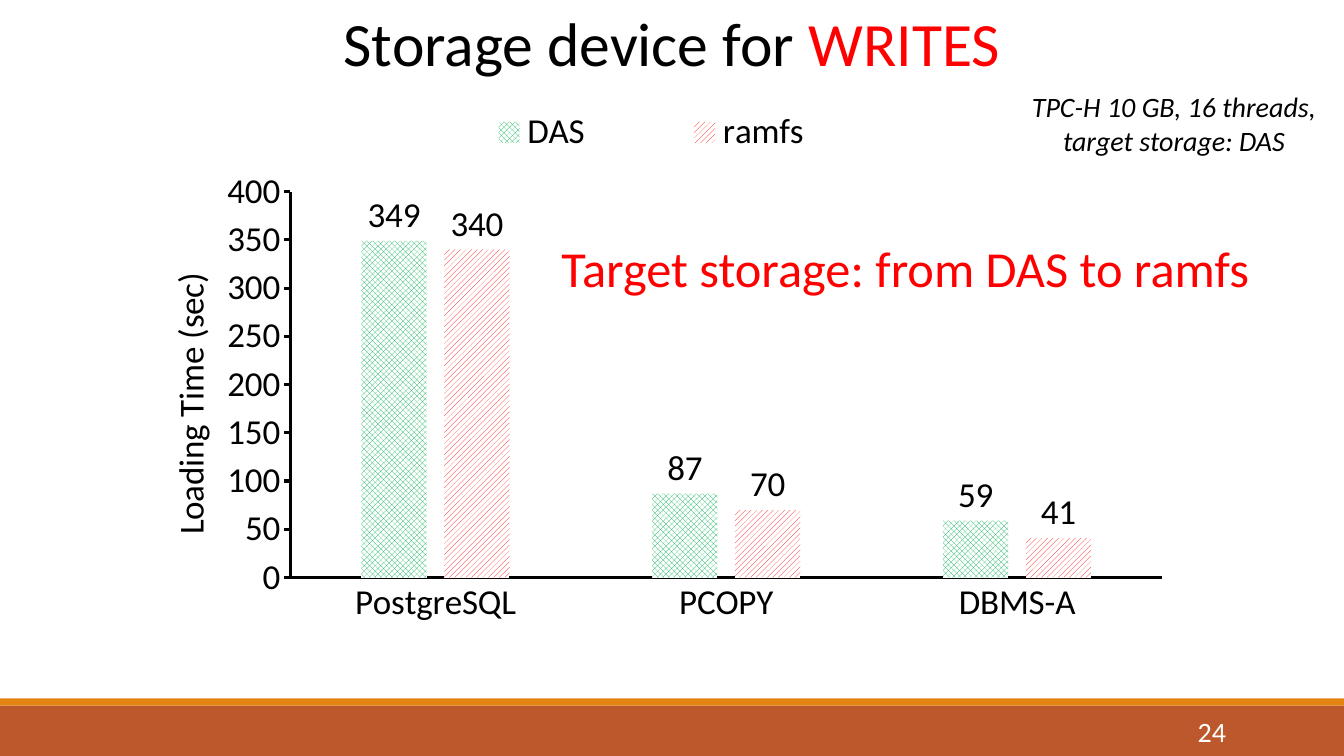
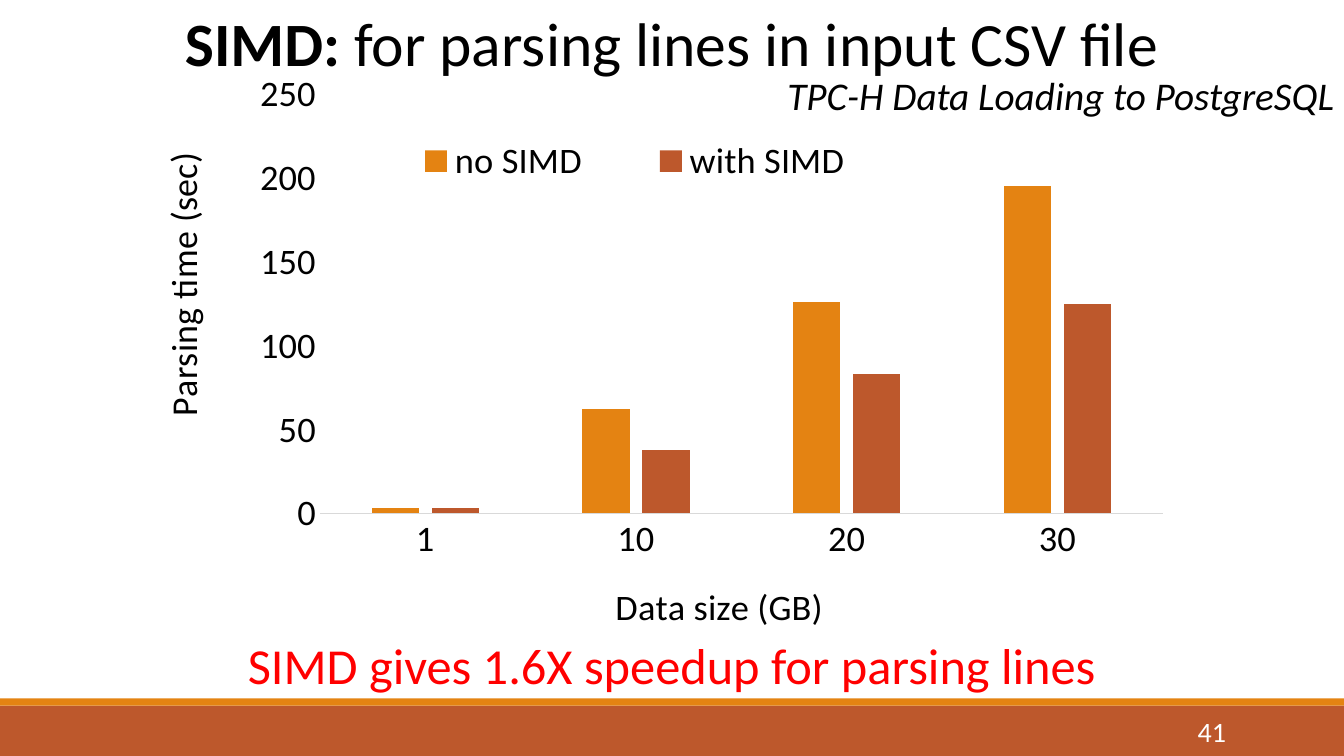
from dataclasses import dataclass

from lxml import etree
from pptx import Presentation
from pptx.chart.data import CategoryChartData
from pptx.dml.color import RGBColor
from pptx.enum.chart import XL_CHART_TYPE, XL_LABEL_POSITION, XL_LEGEND_POSITION, XL_TICK_MARK
from pptx.enum.dml import MSO_PATTERN
from pptx.enum.shapes import MSO_SHAPE
from pptx.enum.text import MSO_ANCHOR, MSO_AUTO_SIZE, PP_ALIGN
from pptx.oxml.ns import qn
from pptx.util import Inches, Pt

LEFT, CENTER, RIGHT = PP_ALIGN.LEFT, PP_ALIGN.CENTER, PP_ALIGN.RIGHT
TOP, MIDDLE = MSO_ANCHOR.TOP, MSO_ANCHOR.MIDDLE
TICK_OUT, TICK_NONE = XL_TICK_MARK.OUTSIDE, XL_TICK_MARK.NONE
CHECKER, DIAGONAL = MSO_PATTERN.LARGE_CHECKER_BOARD, MSO_PATTERN.WIDE_UPWARD_DIAGONAL
TITLE_ONLY = 5


# Shared look
@dataclass(frozen=True)
class Theme:
    font: str = "Calibri"
    black: str = "000000"
    white: str = "FFFFFF"
    red: str = "FF0000"
    green: str = "00B050"
    orange: str = "E48312"
    rust: str = "BD582C"
    rule: str = "D9D9D9"
    title_size: int = 44
    callout_size: int = 36
    subtitle_size: int = 28
    small_size: int = 20


THEME = Theme()
SLIDE_WIDTH, SLIDE_HEIGHT = 13.33, 7.5


@dataclass(frozen=True)
class Area:
    """Inches on a slide, or fractions of a chart."""
    left: float
    top: float
    width: float = 0
    height: float = 0


@dataclass(frozen=True)
class Span:
    text: str
    size: float
    color: str = THEME.black
    bold: bool = False
    italic: bool = False


@dataclass(frozen=True)
class TextBox:
    area: Area
    lines: list[list[Span]]
    align: PP_ALIGN = CENTER
    anchor: MSO_ANCHOR = TOP


@dataclass(frozen=True)
class Series:
    name: str
    values: list[float]
    color: str
    pattern: MSO_PATTERN | None = None


@dataclass(frozen=True)
class AxisLook:
    title: str = ""
    title_spot: Area | None = None
    line_color: str | None = None
    line_width: float = 0
    tick: XL_TICK_MARK = TICK_NONE


@dataclass(frozen=True)
class ColumnChart:
    area: Area
    plot: Area
    legend: Area
    size: float
    categories: list[str]
    series: list[Series]
    category_axis: AxisLook
    value_axis: AxisLook
    maximum: float
    labels: bool = False


@dataclass(frozen=True)
class ChartPage:
    number: int
    title: list[Span]
    chart: ColumnChart
    boxes: list[TextBox]


def place(shape, area: Area) -> None:
    shape.left, shape.top = Inches(area.left), Inches(area.top)
    shape.width, shape.height = Inches(area.width), Inches(area.height)


def style_font(font, size: float, color: str = THEME.black,
               bold: bool = False, italic: bool = False) -> None:
    font.name, font.size = THEME.font, Pt(size)
    font.bold, font.italic = bold, italic
    font.color.rgb = RGBColor.from_string(color)


# Text
def write_lines(shape, lines: list[list[Span]], align: PP_ALIGN, anchor: MSO_ANCHOR) -> None:
    frame = shape.text_frame
    frame.word_wrap = True
    frame.auto_size = MSO_AUTO_SIZE.NONE
    frame.vertical_anchor = anchor
    for index, line in enumerate(lines):
        para = frame.add_paragraph() if index else frame.paragraphs[0]
        para.alignment = align
        for span in line:
            run = para.add_run()
            run.text = span.text
            style_font(run.font, span.size, span.color, span.bold, span.italic)


def add_text(page, box: TextBox) -> None:
    shape = page.shapes.add_textbox(0, 0, 0, 0)
    place(shape, box.area)
    write_lines(shape, box.lines, box.align, box.anchor)


def add_bands(page, layout) -> None:
    """Draw the footer bands and move them to the shared layout."""
    for index, (top, height, color) in enumerate([(7, 0.5, THEME.rust),
                                                  (6.93, 0.07, THEME.orange)]):
        band = page.shapes.add_shape(MSO_SHAPE.RECTANGLE, 0, 0, 0, 0)
        place(band, Area(0, top, SLIDE_WIDTH, height))
        band.shadow.inherit = False
        band.fill.solid()
        band.fill.fore_color.rgb = RGBColor.from_string(color)
        band.line.fill.background()
        layout.shapes.element.insert(2 + index, band.element)


# Charts
def set_layout(parent, area: Area, after: str | None = None, inner: bool = False) -> None:
    """Fix the place of a chart part, in fractions of the chart."""
    for old in parent.findall(qn("c:layout")):
        parent.remove(old)
    layout = etree.Element(qn("c:layout"))
    manual = etree.SubElement(layout, qn("c:manualLayout"))
    values = {"xMode": "edge", "yMode": "edge", "x": area.left, "y": area.top}
    if inner:
        values = {"layoutTarget": "inner"} | values
    if area.width:
        values |= {"w": area.width, "h": area.height}
    for tag, value in values.items():
        etree.SubElement(manual, qn(f"c:{tag}")).set("val", str(value))
    before = parent.find(qn(after)) if after else None
    parent.insert(0 if before is None else parent.index(before) + 1, layout)


def style_axis(axis, look: AxisLook, size: float, upright: bool) -> None:
    axis.has_major_gridlines = False
    axis.major_tick_mark, axis.minor_tick_mark = look.tick, TICK_NONE
    style_font(axis.tick_labels.font, size)
    if look.line_color:
        axis.format.line.color.rgb = RGBColor.from_string(look.line_color)
        axis.format.line.width = Pt(look.line_width)
    else:
        axis.format.line.fill.background()
    if look.title:
        title = axis.axis_title
        run = title.text_frame.paragraphs[0].add_run()
        run.text = look.title
        style_font(run.font, size)
        if upright:
            body = next(title.element.iter(qn("a:bodyPr")))
            body.set("rot", "-5400000")
            body.set("vert", "horz")
        set_layout(title.element, look.title_spot, after="c:tx")


def style_series(series, look: Series) -> None:
    fill = series.format.fill
    if look.pattern is None:
        fill.solid()
    else:
        fill.patterned()
        fill.pattern = look.pattern
        fill.back_color.rgb = RGBColor.from_string(THEME.white)
    fill.fore_color.rgb = RGBColor.from_string(look.color)
    series.format.line.fill.background()
    series.invert_if_negative = False


def add_column_chart(page, look: ColumnChart) -> None:
    data = CategoryChartData()
    data.categories = look.categories
    for item in look.series:
        data.add_series(item.name, item.values)
    frame = page.shapes.add_chart(XL_CHART_TYPE.COLUMN_CLUSTERED, 0, 0,
                                  Inches(look.area.width), Inches(look.area.height), data)
    place(frame, look.area)
    chart = frame.chart
    chart.has_title = False
    style_font(chart.font, look.size)

    # Transparent chart background
    background = etree.Element(qn("c:spPr"))
    etree.SubElement(background, qn("a:noFill"))
    etree.SubElement(etree.SubElement(background, qn("a:ln")), qn("a:noFill"))
    chart.element.find(qn("c:txPr")).addprevious(background)

    plot = chart.plots[0]
    plot.gap_width, plot.overlap, plot.vary_by_categories = 219, -27, False
    for series, item in zip(plot.series, look.series):
        style_series(series, item)
    if look.labels:
        plot.has_data_labels = True
        labels = plot.data_labels
        labels.show_value = True
        labels.number_format, labels.number_format_is_linked = "#,##0", False
        labels.position = XL_LABEL_POSITION.OUTSIDE_END
        style_font(labels.font, look.size)

    style_axis(chart.category_axis, look.category_axis, look.size, upright=False)
    style_axis(chart.value_axis, look.value_axis, look.size, upright=True)
    chart.value_axis.minimum_scale, chart.value_axis.maximum_scale = 0, look.maximum
    chart.value_axis.major_unit = 50

    chart.has_legend = True
    chart.legend.position = XL_LEGEND_POSITION.BOTTOM
    chart.legend.include_in_layout = False
    style_font(chart.legend.font, look.size)
    set_layout(next(chart.element.iter(qn("c:legend"))), look.legend, after="c:legendPos")
    set_layout(next(chart.element.iter(qn("c:plotArea"))), look.plot, inner=True)


# Content
STORAGE = ChartPage(
    24,
    [Span("Storage device for ", THEME.title_size), Span("WRITES", THEME.title_size, THEME.red)],
    ColumnChart(
        Area(1.49, 0.98, 10.35, 5.55), Area(0.134, 0.166, 0.836, 0.69),
        Area(0.24, 0.01, 0.48, 0.1), 25, ["PostgreSQL", "PCOPY", "DBMS-A"],
        [Series("DAS", [349, 87, 59], THEME.green, CHECKER),
         Series("ramfs", [340, 70, 41], THEME.red, DIAGONAL)],
        AxisLook(line_color=THEME.black, line_width=2.25),
        AxisLook("Loading Time (sec)", Area(0.01, 0.3), THEME.black, 2.25, TICK_OUT),
        maximum=400, labels=True),
    [TextBox(Area(9.96, 0.84, 3.37, 0.77),
             [[Span(line, THEME.small_size, italic=True)]
              for line in ("TPC-H 10 GB, 16 threads,", "target storage: DAS")]),
     TextBox(Area(5.47, 2.3, 7.57, 0.71),
             [[Span("Target storage: from DAS to ramfs", THEME.callout_size, THEME.red)]], LEFT)])

SIMD = ChartPage(
    41,
    [Span("SIMD: ", THEME.title_size, bold=True),
     Span("for parsing lines in input CSV file", THEME.title_size)],
    ColumnChart(
        Area(1.4, 0.64, 10.31, 5.72), Area(0.172, 0.052, 0.811, 0.738),
        Area(0.21, 0.12, 0.53, 0.1), 26, ["1", "10", "20", "30"],
        [Series("no SIMD", [3, 62, 126, 195], THEME.orange),
         Series("with SIMD", [3, 38, 83, 125], THEME.rust)],
        AxisLook("Data size (GB)", Area(0.45, 0.9), THEME.rule, 0.75),
        AxisLook("Parsing time (sec)", Area(0.01, 0.15)),
        maximum=250),
    [TextBox(Area(0, 6.24, SLIDE_WIDTH, 0.71),
             [[Span("SIMD gives 1.6X speedup for parsing lines", THEME.callout_size, THEME.red)]]),
     TextBox(Area(0, 0.66, SLIDE_WIDTH, 0.57),
             [[Span("TPC-H Data Loading to PostgreSQL", THEME.subtitle_size, italic=True)]], RIGHT)])


def build_page(page, content: ChartPage) -> None:
    title = page.shapes.title
    place(title, Area(0, 0, SLIDE_WIDTH, 0.84))
    write_lines(title, [content.title], CENTER, TOP)
    add_column_chart(page, content.chart)
    number = Span(str(content.number), THEME.small_size, THEME.white)
    for box in [*content.boxes, TextBox(Area(10.83, 7.06, 1.43, 0.4), [[number]], RIGHT, MIDDLE)]:
        add_text(page, box)


def main() -> None:
    deck = Presentation()
    deck.slide_width, deck.slide_height = Inches(SLIDE_WIDTH), Inches(SLIDE_HEIGHT)
    layout = deck.slide_layouts[TITLE_ONLY]
    for index, content in enumerate([STORAGE, SIMD]):
        page = deck.slides.add_slide(layout)
        if index == 0:
            add_bands(page, layout)
        build_page(page, content)
    deck.save("out.pptx")


if __name__ == "__main__":
    main()
